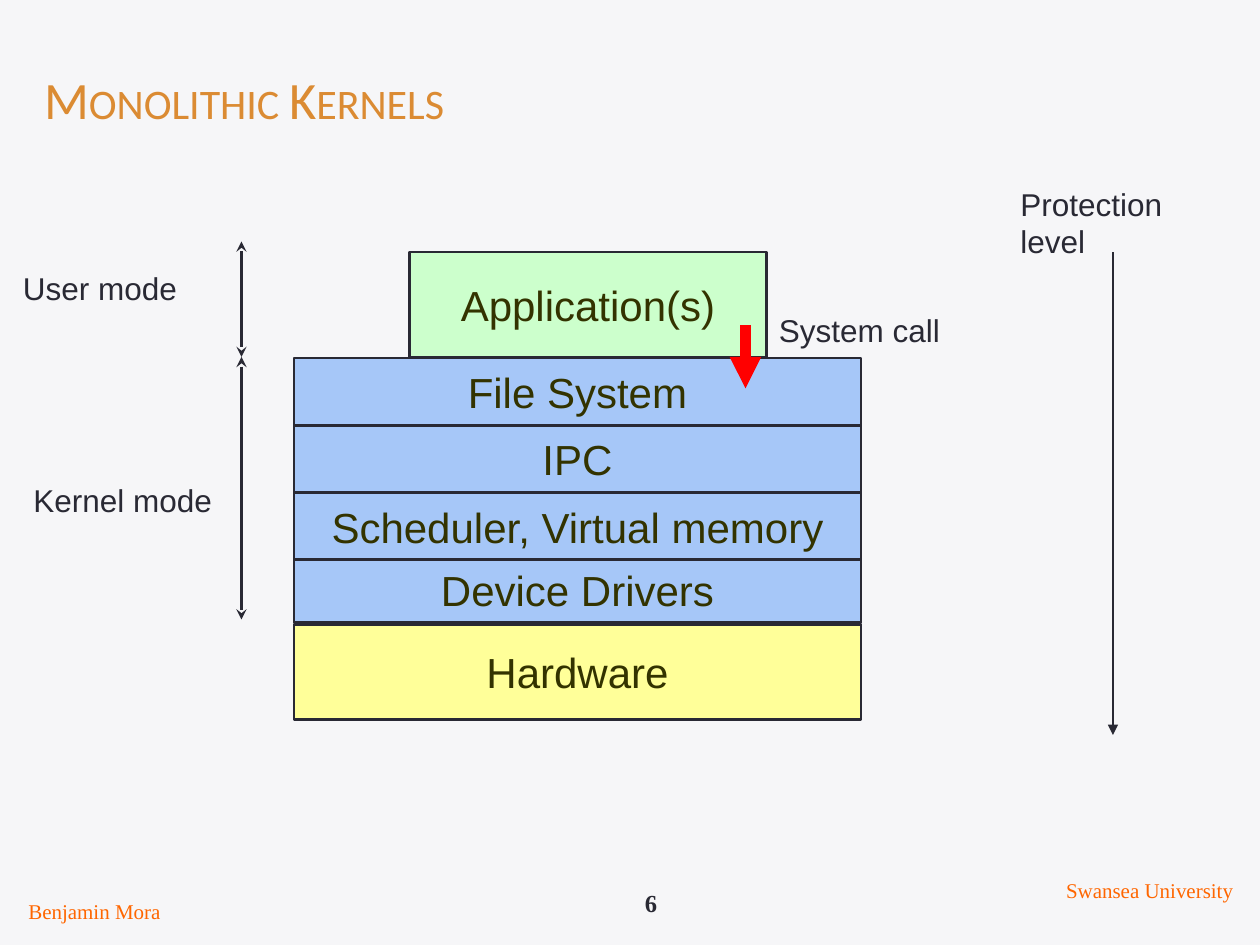
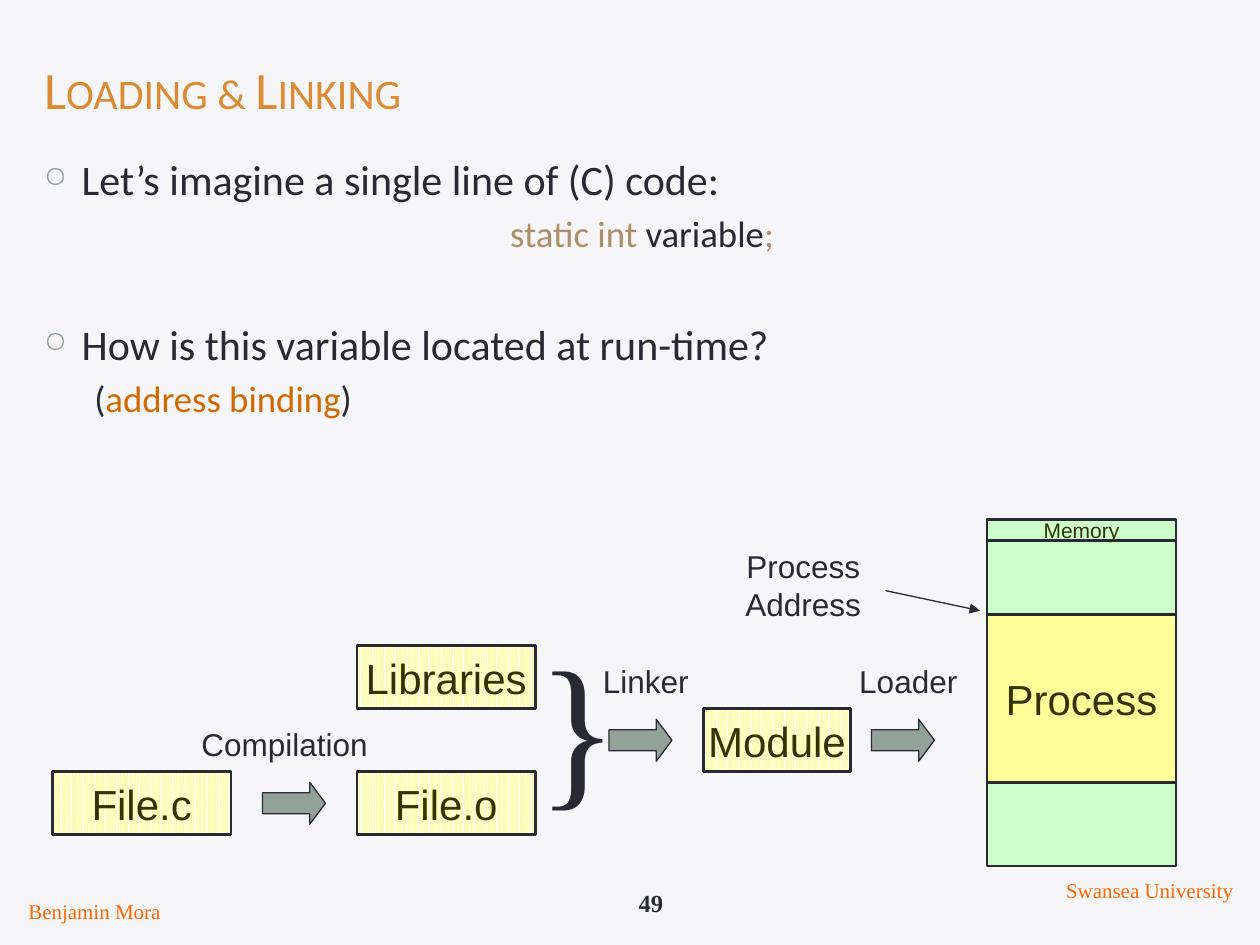
import dataclasses

import lxml.etree
import pptx
import pptx.dml.color
import pptx.enum.dml
import pptx.enum.shapes
import pptx.enum.text
import pptx.oxml.ns
import pptx.util

Pt = pptx.util.Pt
RGBColor = pptx.dml.color.RGBColor
ALIGN = pptx.enum.text.PP_ALIGN
ANCHOR = pptx.enum.text.MSO_ANCHOR
SHAPE = pptx.enum.shapes.MSO_SHAPE

PAPER = RGBColor(0xF6, 0xF6, 0xF8)
INK = RGBColor(0x29, 0x29, 0x34)
TITLE_ORANGE = RGBColor(0xDB, 0x8B, 0x33)
FOOTER_ORANGE = RGBColor(0xFF, 0x66, 0x00)
TERM_ORANGE = RGBColor(0xD2, 0x69, 0x00)
KEYWORD_TAN = RGBColor(0xAD, 0x8F, 0x67)
BOX_TEXT = RGBColor(0x33, 0x33, 0x00)
GREEN = RGBColor(0xCC, 0xFF, 0xCC)
BLUE = RGBColor(0xA6, 0xC7, 0xF8)
YELLOW = RGBColor(0xFF, 0xFF, 0x99)
WHITE = RGBColor(0xFF, 0xFF, 0xFF)
SAGE = RGBColor(0x93, 0xA2, 0x99)
RED = RGBColor(0xFF, 0x00, 0x00)

SANS, SERIF, BODY = "Arial", "Times New Roman", "Calibri"


@dataclasses.dataclass
class Box:
    left: float
    top: float
    width: float
    height: float

    def inner(self, dx, dy, width, height):
        return Box(self.left + dx, self.top + dy, width, height)

    def lengths(self):
        return [Pt(v) for v in (self.left, self.top, self.width, self.height)]


def add_xml(parent, tag, **attributes):
    element = lxml.etree.SubElement(parent, pptx.oxml.ns.qn(tag))
    for key, value in attributes.items():
        element.set(key, value)


def style_run(run, size, color, font, bold=False):
    run.font.size = Pt(size)
    run.font.name = font
    run.font.bold = bold
    run.font.color.rgb = color


def add_label(slide, box, text, size=18, color=INK, font=SANS, align=ALIGN.LEFT, bold=False):
    frame = slide.shapes.add_textbox(*box.lengths()).text_frame
    frame.word_wrap = True
    frame.text = text
    paragraph = frame.paragraphs[0]
    paragraph.alignment = align
    style_run(paragraph.runs[0], size, color, font, bold)


def add_block(slide, box, text, color, size=24, dotted=False):
    block = slide.shapes.add_shape(SHAPE.RECTANGLE, *box.lengths())
    block.shadow.inherit = False
    if dotted:
        block.fill.patterned()
        block.fill.pattern = pptx.enum.dml.MSO_PATTERN.PERCENT_90
        block.fill.fore_color.rgb = color
        block.fill.back_color.rgb = WHITE
    else:
        block.fill.solid()
        block.fill.fore_color.rgb = color
    block.line.color.rgb = INK
    block.line.width = Pt(1.5)
    if text:
        frame = block.text_frame
        frame.word_wrap = False
        frame.vertical_anchor = ANCHOR.MIDDLE
        frame.text = text
        frame.paragraphs[0].alignment = ALIGN.CENTER
        style_run(frame.paragraphs[0].runs[0], size, BOX_TEXT, SANS)


def add_arrow(slide, start, end, color=INK, width=0.75, head=None, tail="triangle"):
    arrow = slide.shapes.add_connector(
        pptx.enum.shapes.MSO_CONNECTOR.STRAIGHT, *[Pt(v) for v in (*start, *end)])
    arrow.line.color.rgb = color
    arrow.line.width = Pt(width)
    line = arrow.line._get_or_add_ln()
    if head:
        add_xml(line, "a:headEnd", type=head)
    add_xml(line, "a:tailEnd", type=tail)
    add_xml(arrow._element.spPr, "a:effectLst")


def add_step_arrow(slide, box):
    step = slide.shapes.add_shape(SHAPE.RIGHT_ARROW, *box.lengths())
    step.adjustments[0] = 0.5
    step.adjustments[1] = 0.375
    step.shadow.inherit = False
    step.fill.solid()
    step.fill.fore_color.rgb = SAGE
    step.line.color.rgb = INK
    step.line.width = Pt(0.75)


def add_base_slide(deck, title, title_top, number):
    slide = deck.slides.add_slide(deck.slide_layouts[5])
    slide.background.fill.solid()
    slide.background.fill.fore_color.rgb = PAPER
    heading = slide.shapes.title
    heading.left, heading.top, heading.width, heading.height = Box(18, title_top, 684, 66).lengths()
    frame = heading.text_frame
    frame.text = title
    frame.word_wrap = True
    frame.auto_size = pptx.enum.text.MSO_AUTO_SIZE.NONE
    frame.vertical_anchor = ANCHOR.BOTTOM
    paragraph = frame.paragraphs[0]
    paragraph.alignment = ALIGN.LEFT
    style_run(paragraph.runs[0], 30, TITLE_ORANGE, BODY)
    paragraph.runs[0]._r.get_or_add_rPr().set("cap", "small")
    add_label(slide, Box(324, 504, 96, 24), number, 14, INK, SERIF, ALIGN.CENTER, True)
    for text, box in (("Benjamin Mora", Box(6, 510, 96, 21.6)),
                      ("Swansea University", Box(600, 498, 114, 21.6))):
        add_label(slide, box, text, 12, FOOTER_ORANGE, SERIF, ALIGN.CENTER)
    return slide


def add_kernel_stack(slide, area):
    add_block(slide, area.inner(66, 0, 204, 60), "Application(s)", GREEN)
    layers = (("Device Drivers", 173.5, 38.4, BLUE),
              ("Hardware", 213, 54, YELLOW),
              ("Scheduler, Virtual memory", 137.5, 38.4, BLUE),
              ("IPC", 99, 38.4, BLUE),
              ("File System", 60.5, 38.4, BLUE))
    for name, top, height, color in layers:
        add_block(slide, area.inner(0, top, area.width, height), name, color)
    call_x = area.left + 258
    add_arrow(slide, (call_x, area.top + 42), (call_x, area.top + 78), RED, 6)
    add_label(slide, area.inner(270, 30, 132, 29), "System call")


def add_mode_ranges(slide, area):
    axis = area.left + area.width
    border = area.top + 66
    for name, dx, dy, start, end in (
            ("User mode", 0, 12, area.top, border),
            ("Kernel mode", 6, 133.5, border, area.top + area.height)):
        add_label(slide, area.inner(dx, dy, 132, 29), name)
        add_arrow(slide, (axis, start), (axis, end), INK, 1.5, "stealth", "stealth")


def add_protection_axis(slide, area):
    add_label(slide, area.inner(0, 0, area.width, 50.4), "Protection level")
    axis = area.left + 60
    add_arrow(slide, (axis, area.top + 42), (axis, area.top + area.height))


def add_question_text(slide, area):
    lines = (
        (24, 6, 21.6, -21.6, [("Let’s imagine a single line of (C) code:", INK)]),
        (21, 4.2, 266.4, 0, [("static int ", KEYWORD_TAN), ("variable", INK), (";", KEYWORD_TAN)]),
        (24, 36, 21.6, -21.6, [("How is this variable located at run-time?", INK)]),
        (21, 4.2, 50.4, -21.6, [("(", INK), ("address binding", TERM_ORANGE), (")", INK)]),
    )
    frame = slide.shapes.add_textbox(*area.lengths()).text_frame
    frame.word_wrap = True
    for index, (size, gap, margin, indent, pieces) in enumerate(lines):
        paragraph = frame.add_paragraph() if index else frame.paragraphs[0]
        paragraph.space_before = Pt(gap)
        properties = paragraph._p.get_or_add_pPr()
        properties.set("marL", str(Pt(margin)))
        properties.set("indent", str(Pt(indent)))
        if size == 24:
            add_xml(properties, "a:buClr")
            add_xml(properties[-1], "a:srgbClr", val=str(SAGE))
            add_xml(properties, "a:buSzPct", val="70000")
            add_xml(properties, "a:buChar", char="○")
        for text, color in pieces:
            run = paragraph.add_run()
            run.text = text
            style_run(run, size, color, BODY)


def add_build_chain(slide, area):
    for name, dx, dy, width in (("File.c", 0, 72, 102), ("Libraries", 174, 0, 102),
                                ("File.o", 174, 72, 102), ("Module", 372, 36, 84)):
        add_block(slide, area.inner(dx, dy, width, 36), name, YELLOW, dotted=True)
    for dx, dy in ((120, 78), (318, 42), (468, 42)):
        add_step_arrow(slide, area.inner(dx, dy, 36, 24))
    add_label(slide, area.inner(78, 42, 126, 29), "Compilation")
    for name, dx in (("Linker", 276), ("Loader", 426)):
        add_label(slide, area.inner(dx, 6, 126, 29), name, align=ALIGN.CENTER)
    add_label(slide, area.inner(264, -18, 72, 122), "}", 96, INK, SERIF, ALIGN.CENTER)


def add_memory_map(slide, area):
    add_block(slide, area.inner(0, 12, area.width, area.height - 12), "", GREEN)
    add_block(slide, area.inner(0, 0, area.width, 12), "Memory", GREEN, 12)
    add_block(slide, area.inner(0, 54, area.width, 96), "Process", YELLOW)
    add_label(slide, area.inner(-168, 12, 126, 50.4), "Process Address", align=ALIGN.CENTER)
    add_arrow(slide, (area.left - 58, area.top + 40.5), (area.left - 4, area.top + 52))


def main():
    deck = pptx.Presentation()
    deck.slide_width, deck.slide_height = Pt(720), Pt(540)

    kernels = add_base_slide(deck, "Monolithic Kernels", 12, "6")
    add_kernel_stack(kernels, Box(168, 144, 324, 267))
    add_mode_ranges(kernels, Box(6, 138, 132, 216))
    add_protection_axis(kernels, Box(576, 102, 132, 318))

    linking = add_base_slide(deck, "Loading & Linking", 6, "49")
    add_question_text(linking, Box(18, 84, 696, 414))
    add_build_chain(linking, Box(30, 369, 456, 108))
    add_memory_map(linking, Box(564, 297, 108, 198))

    deck.save("out.pptx")


if __name__ == "__main__":
    main()
